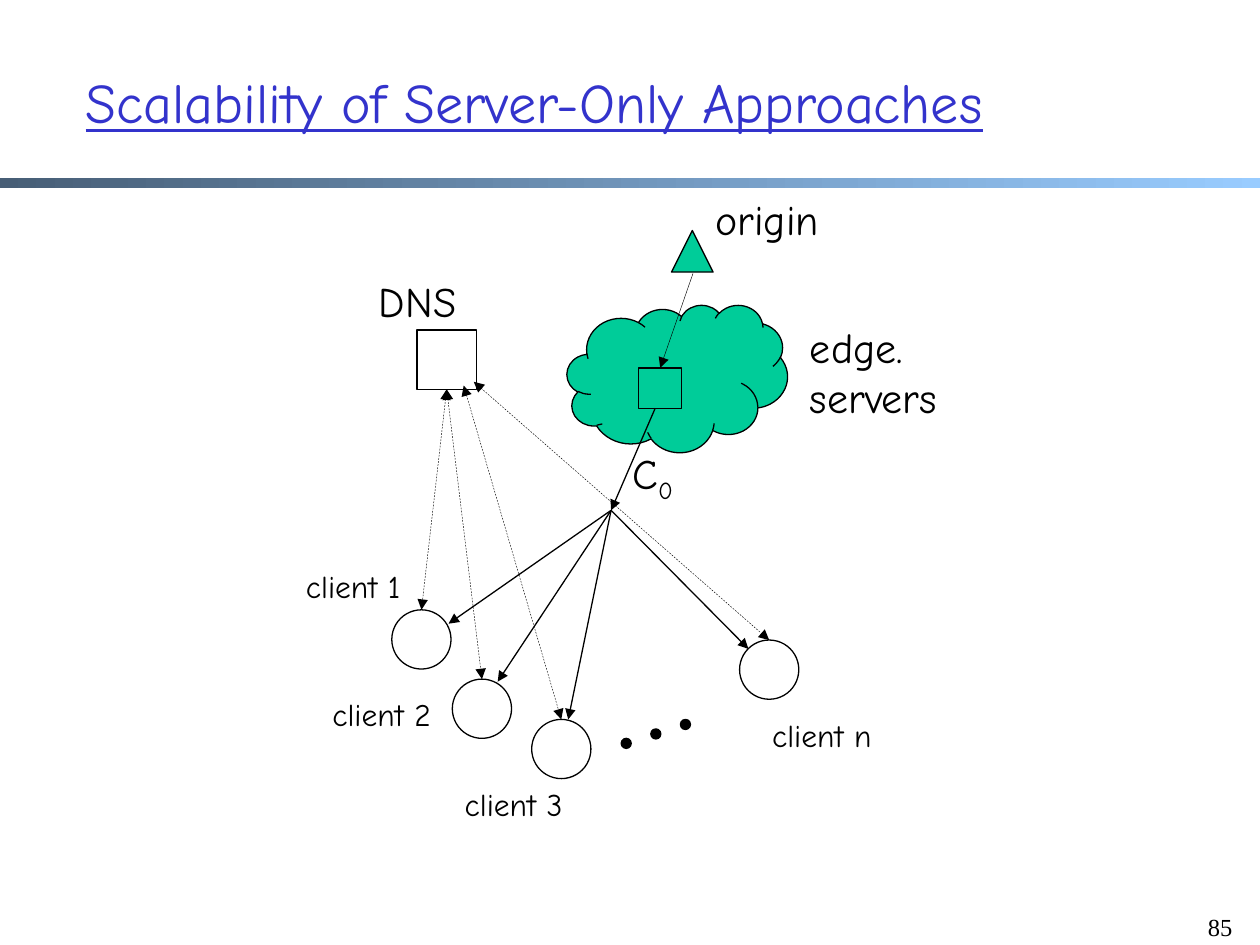
"""Build the slide on the scalability of server-only approaches."""
from lxml import etree
from pptx import Presentation, util as u
from pptx.dml.color import RGBColor
from pptx.enum import dml, shapes, text
from pptx.oxml import ns

BLACK = RGBColor(0x00, 0x00, 0x00)
GREEN = RGBColor(0x00, 0xCC, 0x99)
TITLE_BLUE = RGBColor(0x33, 0x33, 0xCC)
BAR_DARK = RGBColor(0x47, 0x5E, 0x76)
BAR_LIGHT = RGBColor(0x99, 0xCC, 0xFF)
FONT = "Comic Neue"
COLUMNS, ROWS = 100, 75
CELL = u.Inches(0.1)
NODE, DOT = 4.7, 0.8
HUB = (48.5, 40.5)
KIND = shapes.MSO_SHAPE


def grid(*cells):
    """Turn numbers of grid cells into lengths."""
    return [round(cell * CELL) for cell in cells]


def write(para, words, size=24, color=BLACK, font=FONT, underline=None, subscript=False):
    """Add a formatted run to a paragraph."""
    span = para.add_run()
    span.text = words
    span.font.size = u.Pt(size)
    span.font.name = font
    span.font.color.rgb = color
    span.font.underline = underline
    if subscript:
        span.font._element.set("baseline", "-25000")


def add_label(page, words, left, top, width, height, align=text.PP_ALIGN.LEFT, **style):
    """Place a wrapping text box and return its paragraph."""
    box = page.shapes.add_textbox(*grid(left, top, width, height))
    box.text_frame.word_wrap = True
    para = box.text_frame.paragraphs[0]
    para.alignment = align
    write(para, words, **style)
    return para


def add_node(page, kind, left, top, width, height, fill=None):
    """Place an outlined shape, hollow unless a fill is given."""
    node = page.shapes.add_shape(kind, *grid(left, top, width, height))
    node.shadow.inherit = False
    node.line.color.rgb = BLACK
    node.line.width = u.Pt(0.75)
    if fill is None:
        node.fill.background()
    else:
        node.fill.solid()
        node.fill.fore_color.rgb = fill
    return node


def add_arrow(page, start, end, width=0.75, two_way=False, source=None, target=None):
    """Draw an arrow, joined to the bottom of source and the top of target."""
    arrow = page.shapes.add_connector(shapes.MSO_CONNECTOR.STRAIGHT, *grid(*start, *end))
    if source is not None:
        arrow.begin_connect(source, 2)
    if target is not None:
        arrow.end_connect(target, 0)
    arrow.line.color.rgb = BLACK
    arrow.line.width = u.Pt(width)
    if two_way:
        arrow.line.dash_style = dml.MSO_LINE.DASH
    outline = arrow.line._get_or_add_ln()
    for tip in ("a:headEnd", "a:tailEnd") if two_way else ("a:tailEnd",):
        etree.SubElement(outline, ns.qn(tip), type="triangle")
    etree.SubElement(arrow._element.spPr, ns.qn("a:effectLst"))


def add_bar(page):
    """Draw the gradient bar below the title."""
    bar = page.shapes.add_shape(KIND.RECTANGLE, *grid(0, 14.1, COLUMNS, 0.8))
    bar.shadow.inherit = False
    bar.line.fill.background()
    bar.fill.gradient()
    bar.fill.gradient_angle = 0
    for stop, color in zip(bar.fill.gradient_stops, (BAR_DARK, BAR_LIGHT)):
        stop.color.rgb = color


def set_title(page, words):
    """Move and fill the title placeholder."""
    title = page.shapes.title
    title.left, title.top, title.width, title.height = grid(5.8, 3.3, 90.8, 9.5)
    title.text_frame.vertical_anchor = text.MSO_ANCHOR.MIDDLE
    para = title.text_frame.paragraphs[0]
    para.alignment = text.PP_ALIGN.LEFT
    write(para, words, size=32, color=TITLE_BLUE, underline=True)


def add_servers(page):
    """Draw the cloud, the servers and their labels, and return the DNS box."""
    add_node(page, KIND.CLOUD, 45, 24.2, 17.5, 11.7, GREEN)
    edge = add_node(page, KIND.RECTANGLE, 50.7, 29.2, 3.4, 3.2)
    dns = add_node(page, KIND.RECTANGLE, 33.1, 26.2, NODE, NODE)
    add_node(page, KIND.ISOSCELES_TRIANGLE, 53.3, 18.3, 3.3, 3.3, GREEN)
    add_arrow(page, (55, 21.7), (52.4, 29.2), width=0.25, target=edge)
    add_arrow(page, (52, 32.4), HUB)
    add_label(page, "origin", 55.8, 14.9, 16.2, 5.1)
    add_label(page, "DNS", 29.1, 21.4, 13.4, 4)
    add_label(page, "edge. servers", 63.3, 25, 16.2, 9.1)
    capacity = add_label(page, "C", 49.2, 35, 7.1, 4)
    write(capacity, "0", subscript=True)
    return dns


def add_clients(page, dns):
    """Draw each client with its label, its DNS lookup and its data flow."""
    bottom = (35.4, 30.9)
    clients = [
        ("client 1", (31.1, 48.4), (23.3, 44.5), (35.6, 49.5), bottom),
        ("client 2", (35.9, 53.9), (25.4, 54.7), (39.5, 54.1), bottom),
        ("client 3", (42.2, 57.1), (35.9, 61.8), (45.1, 57.1), (36.8, 30.6)),
        ("client n", (58.7, 50.8), (60.3, 56.3), (59.4, 51.5), (37.6, 30.3)),
    ]
    for name, corner, label, flow_end, lookup in clients:
        client = add_node(page, KIND.OVAL, *corner, NODE, NODE)
        add_label(page, name, *label, 11, 4, size=18)
        add_arrow(page, HUB, flow_end)
        top = (corner[0] + NODE / 2, corner[1])
        source = dns if lookup == bottom else None
        add_arrow(page, lookup, top, 0.25, True, source, client)
    for step in range(3):
        add_node(page, KIND.OVAL, 49.3 + 2.35 * step, 58.6 - 0.75 * step, DOT, DOT, BLACK)


def main():
    """Build and save the slide."""
    deck = Presentation()
    deck.slide_width, deck.slide_height = grid(COLUMNS, ROWS)
    page = deck.slides.add_slide(deck.slide_layouts[5])
    add_bar(page)
    set_title(page, "Scalability of Server-Only Approaches")
    add_clients(page, add_servers(page))
    add_label(page, "85", 93.8, 71.9, 5, 5, text.PP_ALIGN.RIGHT,
              size=14, font="Times New Roman")
    deck.save("out.pptx")


if __name__ == "__main__":
    main()
